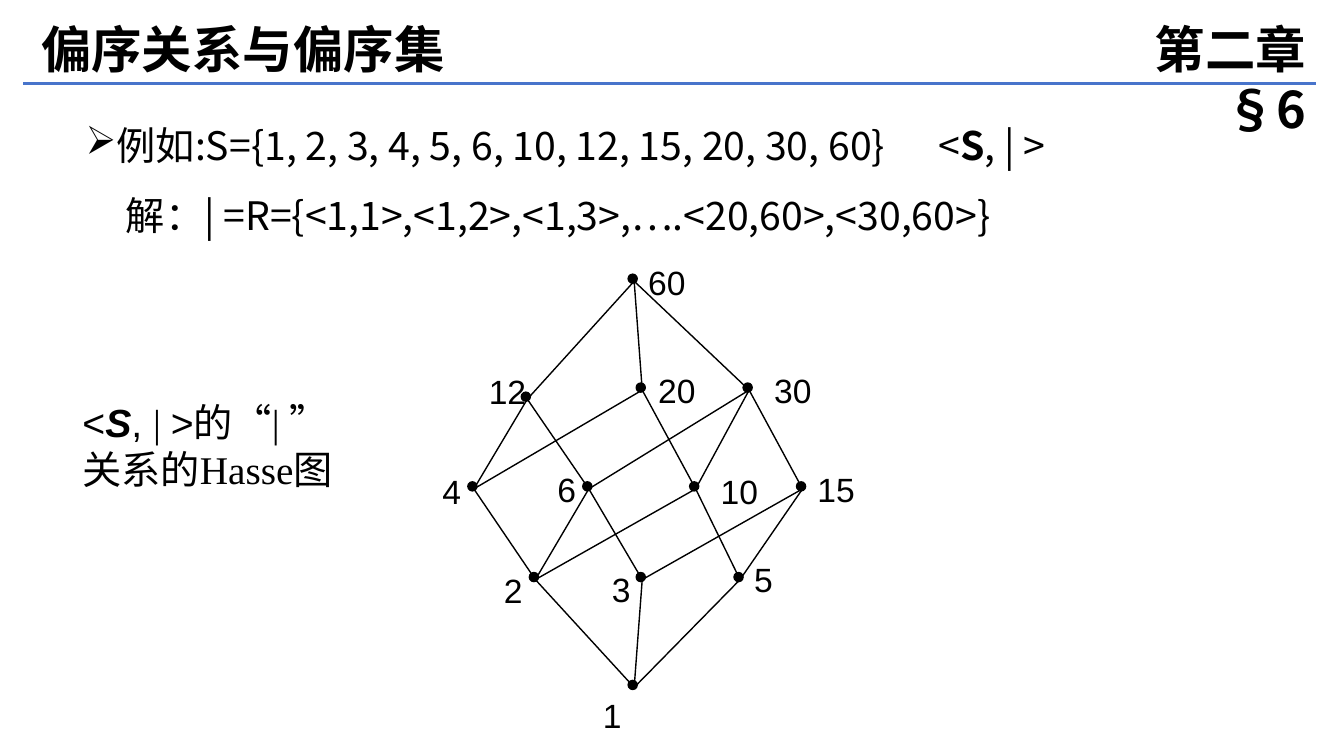
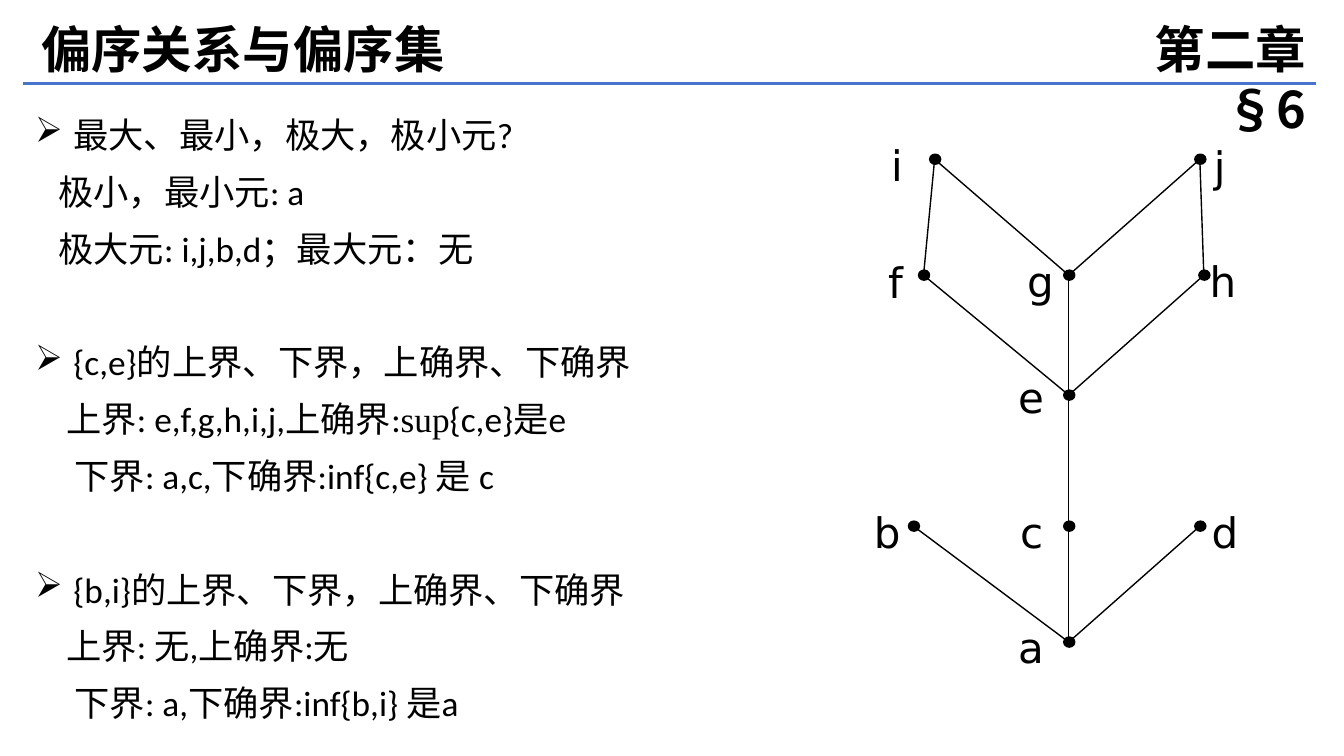
from lxml import etree
from pptx import Presentation, util as u
from pptx.dml.color import RGBColor
from pptx.enum import shapes, text
from pptx.oxml import ns

BLACK = "000000"
BLUE = "4874CB"
SANS = "Noto Sans CJK SC"
SERIF = "Times New Roman"


def color(value):
    return RGBColor.from_string(value)


class Deck:
    def __init__(self):
        self.presentation = Presentation()
        self.presentation.slide_width = u.Inches(13.33)
        self.presentation.slide_height = u.Inches(7.5)
        self.slide = None

    def add_slide(self, title, section):
        layout = self.presentation.slide_layouts[6]
        self.slide = self.presentation.slides.add_slide(layout)
        self.line((0.23, 0.83), (13.05, 0.83), BLUE, 2.25)
        self.label(title, (0.31, 0.13, 5.76, 0.71), SANS, 36, bold=True)
        self.label(section, (10.51, 0.13, 2.54, 0.71), SANS, 36, bold=True,
                   align=text.PP_ALIGN.RIGHT)

    def line(self, start, end, line_color=BLACK, width=1):
        points = [u.Inches(value) for value in (*start, *end)]
        connector = self.slide.shapes.add_connector(
            shapes.MSO_CONNECTOR.STRAIGHT, *points)
        connector.line.color.rgb = color(line_color)
        connector.line.width = u.Pt(width)
        etree.SubElement(connector._element.spPr, ns.qn("a:effectLst"))

    def dot(self, left, top, width, height):
        shape = self.slide.shapes.add_shape(
            shapes.MSO_SHAPE.OVAL, *map(u.Inches, (left, top, width, height)))
        shape.shadow.inherit = False
        shape.fill.solid()
        shape.fill.fore_color.rgb = color(BLACK)
        shape.line.color.rgb = color(BLACK)
        shape.line.width = u.Pt(1)

    def frame(self, box, grow=True):
        frame = self.slide.shapes.add_textbox(*map(u.Inches, box)).text_frame
        frame.word_wrap = True
        if grow:
            frame.auto_size = text.MSO_AUTO_SIZE.SHAPE_TO_FIT_TEXT
        return frame

    def style(self, paragraph, font, size, bold=False):
        paragraph.font.name = font
        paragraph.font.size = u.Pt(size)
        paragraph.font.bold = bold
        paragraph.font.color.rgb = color(BLACK)

    def label(self, content, box, font, size, bold=False, align=None):
        paragraph = self.frame(box).paragraphs[0]
        paragraph.text = content
        paragraph.alignment = align
        self.style(paragraph, font, size, bold)

    def runs(self, paragraph, runs, font, size):
        self.style(paragraph, font, size)
        for content, changes in runs:
            run = paragraph.add_run()
            run.text = content
            for name, value in changes.items():
                setattr(run.font, name, value)

    def indent(self, paragraph, margin, hanging=0, bullet=False, tab=None):
        properties = paragraph._p.get_or_add_pPr()
        properties.set("marL", str(u.Inches(margin)))
        properties.set("indent", str(-u.Inches(hanging)))
        if bullet:
            mark = etree.Element(ns.qn("a:buChar"), char="➢")
            properties.insert_element_before(mark, "a:tabLst", "a:defRPr")
        if tab:
            stops = etree.Element(ns.qn("a:tabLst"))
            etree.SubElement(stops, ns.qn("a:tab"),
                             pos=str(u.Inches(tab)), algn="l")
            properties.insert_element_before(stops, "a:defRPr")

    def hasse(self, nodes, edges, dot_size, joint, font, size, label_height):
        for lower, uppers in edges.items():
            for upper in uppers.split():
                ends = [(nodes[name][0] + joint[0], nodes[name][1] + joint[1])
                        for name in (lower, upper)]
                self.line(*ends)
        for name, (left, top, label_left, label_top, width) in nodes.items():
            self.dot(left, top, *dot_size)
            self.label(name, (label_left, label_top, width, label_height),
                       font, size)


def divisor_slide(deck):
    deck.add_slide("偏序关系与偏序集", "第二章 §6")
    frame = deck.frame((0.25, 0.93, 12.79, 1.6), grow=False)
    example = frame.paragraphs[0]
    deck.runs(example, [
        ("例如:S={1, 2, 3, 4, 5, 6, 10, 12, 15, 20, 30, 60}\t<", {}),
        ("S", {"bold": True}), (", | >", {})], SANS, 28)
    deck.indent(example, 0.81, 0.31, bullet=True, tab=8.96)
    answer = frame.add_paragraph()
    deck.runs(answer, [
        ("解：| =R={<1,1>,<1,2>,<1,3>,….<20,60>,<30,60>}", {})], SANS, 28)
    deck.indent(answer, 0.9)
    for paragraph in frame.paragraphs:
        paragraph.line_spacing = u.Pt(50)

    nodes = {
        "1": (6.23, 6.75, 5.88, 6.84, 0.42),
        "2": (5.25, 5.68, 4.9, 5.6, 0.42),
        "3": (6.31, 5.68, 5.97, 5.59, 0.42),
        "5": (7.28, 5.68, 7.38, 5.5, 0.42),
        "4": (4.64, 4.78, 4.29, 4.62, 0.42),
        "6": (5.78, 4.78, 5.43, 4.6, 0.42),
        "10": (6.84, 4.78, 7.05, 4.62, 0.63),
        "15": (7.9, 4.78, 8.01, 4.6, 0.63),
        "12": (5.17, 3.89, 4.75, 3.63, 0.63),
        "20": (6.31, 3.8, 6.43, 3.62, 0.63),
        "30": (7.37, 3.8, 7.58, 3.62, 0.63),
        "60": (6.23, 2.72, 6.33, 2.55, 0.63),
    }
    edges = {"1": "2 3 5", "2": "4 6 10", "3": "6 15", "5": "10 15",
             "4": "12 20", "6": "12 30", "10": "20 30", "15": "30",
             "12": "60", "20": "60", "30": "60"}
    deck.hasse(nodes, edges, (0.09, 0.09), (0.06, 0.07), "Arial", 24, 0.5)

    caption = deck.frame((0.72, 3.9, 3.36, 1.04))
    serif = {"name": SERIF}
    deck.runs(caption.paragraphs[0], [
        ("<", {}), ("S", {"bold": True, "italic": True}), (", ", {}),
        ("| ", serif), (">的", {}), ("“| ”", serif)], "Arial", 28)
    deck.runs(caption.add_paragraph(), [("关系的Hasse图", {})], SERIF, 28)


def bounds_slide(deck):
    deck.add_slide("偏序关系与偏序集", "第二章 §6")
    serif = {"name": SERIF}
    groups = [
        ([("最大、最小，极大，极小元?", {})],
         (0.23, [("极小，最小元: a", {})]),
         (0.23, [("极大元: i,j,b,d；最大元：无", {})])),
        ([("{c,e}的上界、下界，上确界、下确界", {})],
         (0.31, [("上界: e,f,g,h,i,j,上确界:", {}), ("sup", serif),
                 ("{c,e}是e", {})]),
         (0.39, [("下界: a,c,下确界:inf{c,e} 是 c", {})])),
        ([("{b,i}的上界、下界，上确界、下确界", {})],
         (0.31, [("上界: 无,上确界:", {}), ("无", serif)]),
         (0.39, [("下界: a,下确界:inf{b,i} 是a", {})])),
    ]
    spacing = u.Pt(40.6)
    frame = deck.frame((0.25, 0.93, 8, 6.27), grow=False)
    for index, (question, *answers) in enumerate(groups):
        heading = frame.add_paragraph() if index else frame.paragraphs[0]
        deck.runs(heading, question, "Calibri", 25.2)
        deck.indent(heading, 0.38, 0.38, bullet=True)
        if index:
            heading.space_before = spacing
        for margin, runs in answers:
            answer = frame.add_paragraph()
            deck.runs(answer, runs, "Calibri", 25.2)
            deck.indent(answer, margin)
    for paragraph in frame.paragraphs:
        paragraph.line_spacing = spacing

    nodes = {
        "a": (10.55, 6.32, 10, 6.12, 0.58),
        "b": (9.01, 5.17, 8.57, 4.98, 0.43),
        "c": (10.55, 5.17, 10.02, 4.98, 0.54),
        "d": (11.85, 5.17, 11.92, 4.98, 0.6),
        "e": (10.55, 3.87, 10, 3.64, 0.58),
        "f": (9.11, 2.68, 8.71, 2.5, 0.45),
        "g": (10.55, 2.68, 10.09, 2.49, 0.6),
        "h": (11.89, 2.68, 11.9, 2.49, 0.6),
        "i": (9.22, 1.53, 8.74, 1.34, 0.41),
        "j": (11.85, 1.53, 11.94, 1.35, 0.45),
    }
    edges = {"a": "b c d", "c": "e", "e": "f g h", "f": "i", "g": "i j",
             "h": "j"}
    deck.hasse(nodes, edges, (0.11, 0.1), (0.05, 0.05), "DejaVu Sans", 30, 0.6)


def main():
    deck = Deck()
    divisor_slide(deck)
    bounds_slide(deck)
    deck.presentation.save("out.pptx")


if __name__ == "__main__":
    main()
